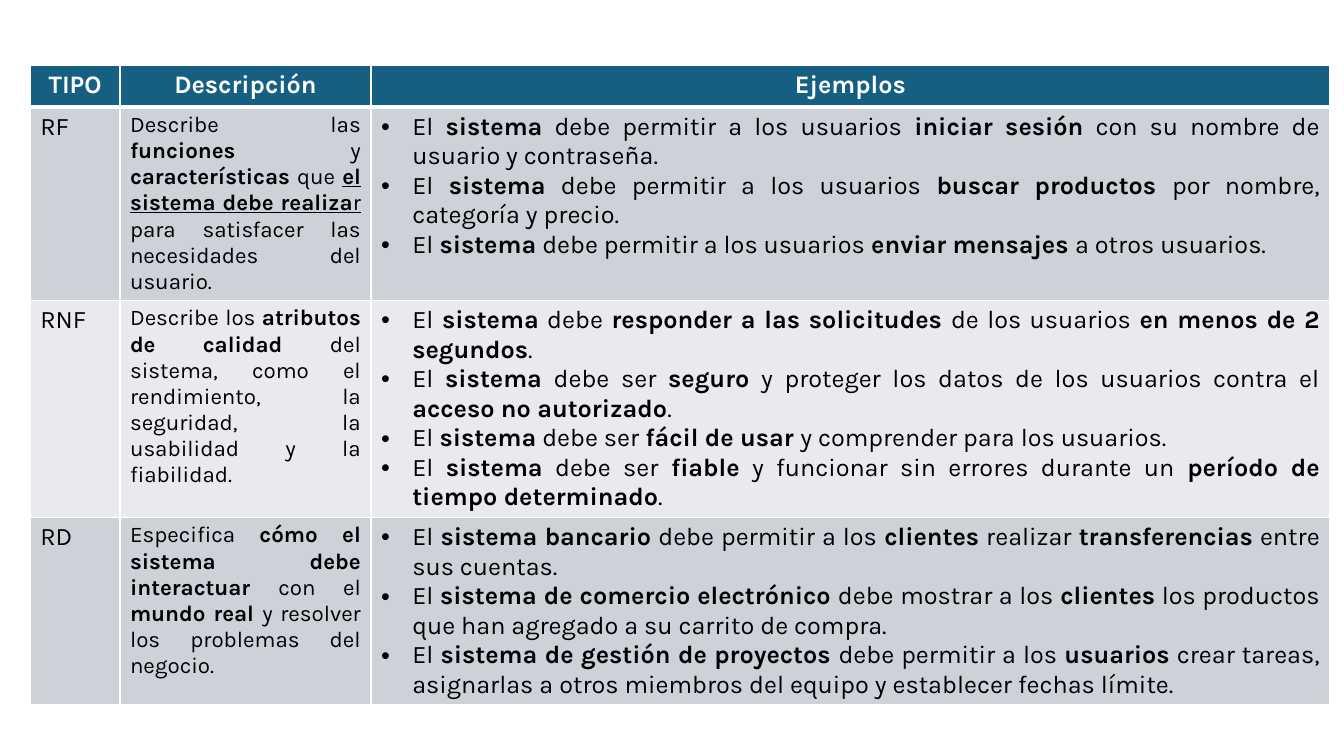
import pptx
import pptx.dml.color
import pptx.enum.text
import pptx.oxml.ns
import pptx.util
from lxml import etree

Inches = pptx.util.Inches
Pt = pptx.util.Pt
RGBColor = pptx.dml.color.RGBColor
ALIGN = pptx.enum.text.PP_ALIGN
qn = pptx.oxml.ns.qn

WHITE = RGBColor(0xFF, 0xFF, 0xFF)
BLACK = RGBColor(0x00, 0x00, 0x00)
TEAL = RGBColor(0x15, 0x60, 0x82)
BAND_DARK = RGBColor(0xCC, 0xD2, 0xD8)
BAND_LIGHT = RGBColor(0xE8, 0xEA, 0xED)

HEADERS = ["TIPO", "Descripción", "Ejemplos"]
REQUIREMENTS = [
    ("RF",
     "Describe las *funciones* y *características* que "
     "_*el sistema debe realiza*r_ para satisfacer las necesidades del usuario.",
     ["El *sistema* debe permitir a los usuarios *iniciar sesión* con su nombre de usuario y contraseña.",
      "El *sistema* debe permitir a los usuarios *buscar productos *por nombre, categoría y precio.",
      "El *sistema* debe permitir a los usuarios *enviar mensajes *a otros usuarios."]),
    ("RNF",
     "Describe los *atributos de calidad *del sistema, como el rendimiento, "
     "la seguridad, la usabilidad y la fiabilidad.",
     ["El *sistema* debe *responder a las solicitudes *de los usuarios *en menos de 2 segundos*.",
      "El *sistema* debe ser *seguro* y proteger los datos de los usuarios contra el *acceso no autorizado*.",
      "El *sistema* debe ser *fácil de usar *y comprender para los usuarios.",
      "El *sistema* debe ser *fiable* y funcionar sin errores durante un *período de tiempo determinado*."]),
    ("RD",
     "Especifica *cómo el sistema debe interactuar *con el *mundo real *"
     "y resolver los problemas del negocio.",
     ["El *sistema bancario* debe permitir a los *clientes* realizar *transferencias* entre sus cuentas.",
      "El *sistema de comercio electrónico *debe mostrar a los *clientes* los productos "
      "que han agregado a su carrito de compra.",
      "El *sistema de gestión de proyectos *debe permitir a los *usuarios* crear tareas, "
      "asignarlas a otros miembros del equipo y establecer fechas límite."]),
]


def write_text(p, text, font="Karla", size=18, color=BLACK, align=None, bullet=False):
    """Marks: *bold*, _underlined_."""
    p.alignment = align
    if bullet:
        pPr = p._p.get_or_add_pPr()
        pPr.set("marL", str(Inches(0.31)))
        pPr.set("indent", str(-Inches(0.31)))
        etree.SubElement(pPr, qn("a:buFont"), typeface="Arial")
        etree.SubElement(pPr, qn("a:buChar"), char="•")
    for i, part in enumerate(text.split("_")):
        for j, piece in enumerate(part.split("*")):
            if piece:
                r = p.add_run()
                r.text = piece
                r.font.name = font
                r.font.size = Pt(size)
                r.font.color.rgb = color
                r.font.bold = j % 2 == 1
                r.font.underline = i % 2 == 1


class SlideBuilder:
    def __init__(self, slide, font, border):
        self.slide = slide
        self.font = font
        self.border = border

    def table(self, left, top, widths, heights):
        sp = self.slide.shapes.add_table(
            len(heights), len(widths), Inches(left), Inches(top),
            Inches(sum(widths)), Inches(sum(heights)))
        for col, width in zip(sp.table.columns, widths):
            col.width = Inches(width)
        for row, height in zip(sp.table.rows, heights):
            row.height = Inches(height)
        return sp.table

    def cell(self, cell, texts, fill, top=1, bottom=1, **style):
        tcPr = cell._tc.get_or_add_tcPr()
        for side, width in (("L", 1), ("R", 1), ("T", top), ("B", bottom)):
            ln = etree.SubElement(tcPr, qn("a:ln" + side), w=str(Pt(width)))
            solid = etree.SubElement(ln, qn("a:solidFill"))
            etree.SubElement(solid, qn("a:srgbClr"), val=str(self.border))
        cell.fill.solid()
        cell.fill.fore_color.rgb = fill
        tf = cell.text_frame
        for i, text in enumerate(texts):
            p = tf.add_paragraph() if i else tf.paragraphs[0]
            write_text(p, text, font=self.font, **style)


def main():
    prs = pptx.Presentation()
    prs.slide_width = Inches(13.33)
    prs.slide_height = Inches(7.5)
    s = prs.slides.add_slide(prs.slide_layouts[6])
    builder = SlideBuilder(s, "Karla", WHITE)
    table = builder.table(0.3, 0.65, [0.89, 2.49, 9.51], [0.41, 1.91, 2.15, 1.86])

    for col, header in enumerate(HEADERS):
        builder.cell(table.cell(0, col), [f"*{header}*"], TEAL, bottom=3,
                     color=WHITE, align=ALIGN.CENTER)
    for row, (kind, description, examples) in enumerate(REQUIREMENTS, 1):
        fill = BAND_DARK if row % 2 else BAND_LIGHT
        top = 3 if row == 1 else 1
        builder.cell(table.cell(row, 0), [kind], fill, top)
        builder.cell(table.cell(row, 1), [description], fill, top,
                     size=16, align=ALIGN.JUSTIFY)
        builder.cell(table.cell(row, 2), examples, fill, top,
                     align=ALIGN.JUSTIFY, bullet=True)

    prs.save("out.pptx")


if __name__ == "__main__":
    main()
